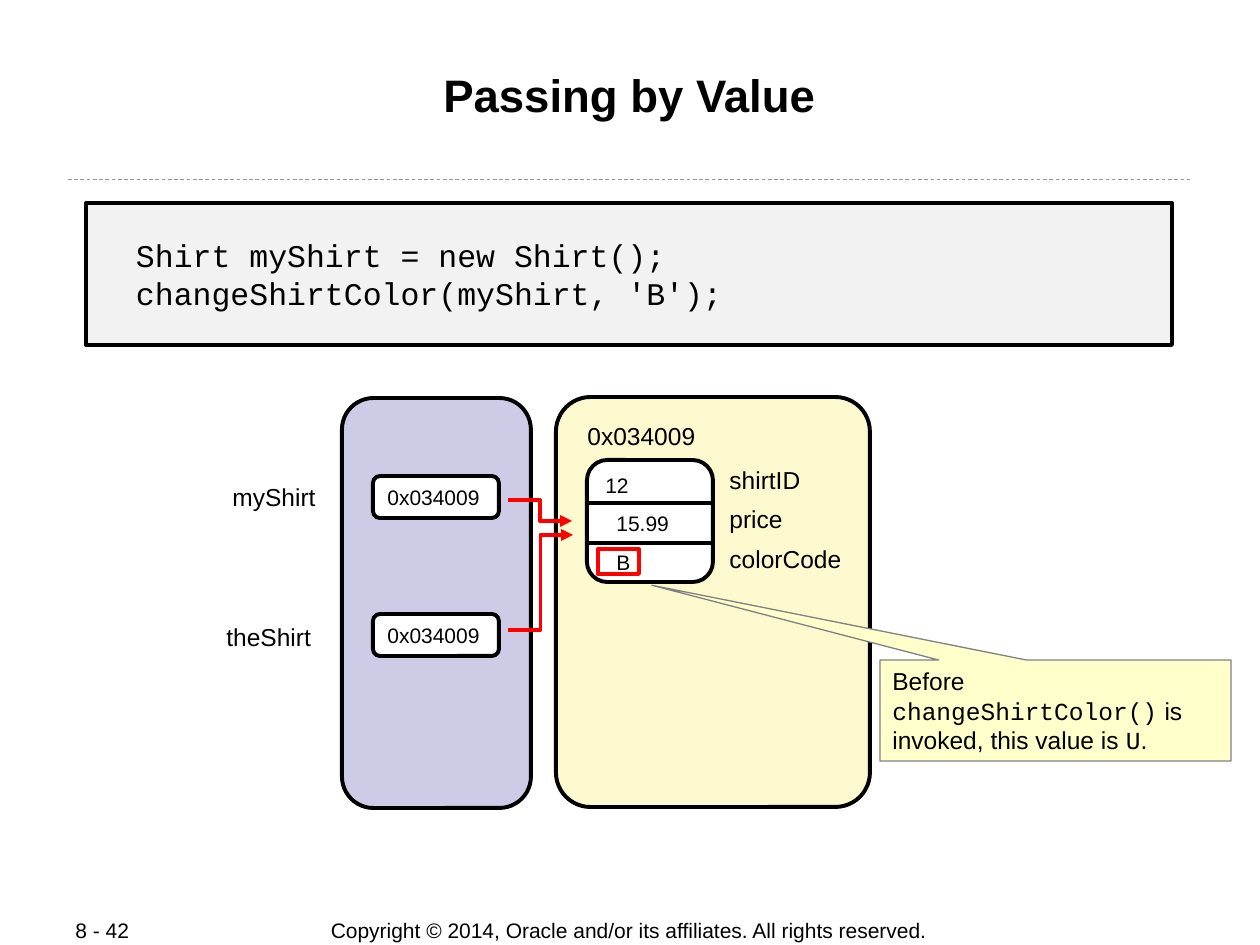
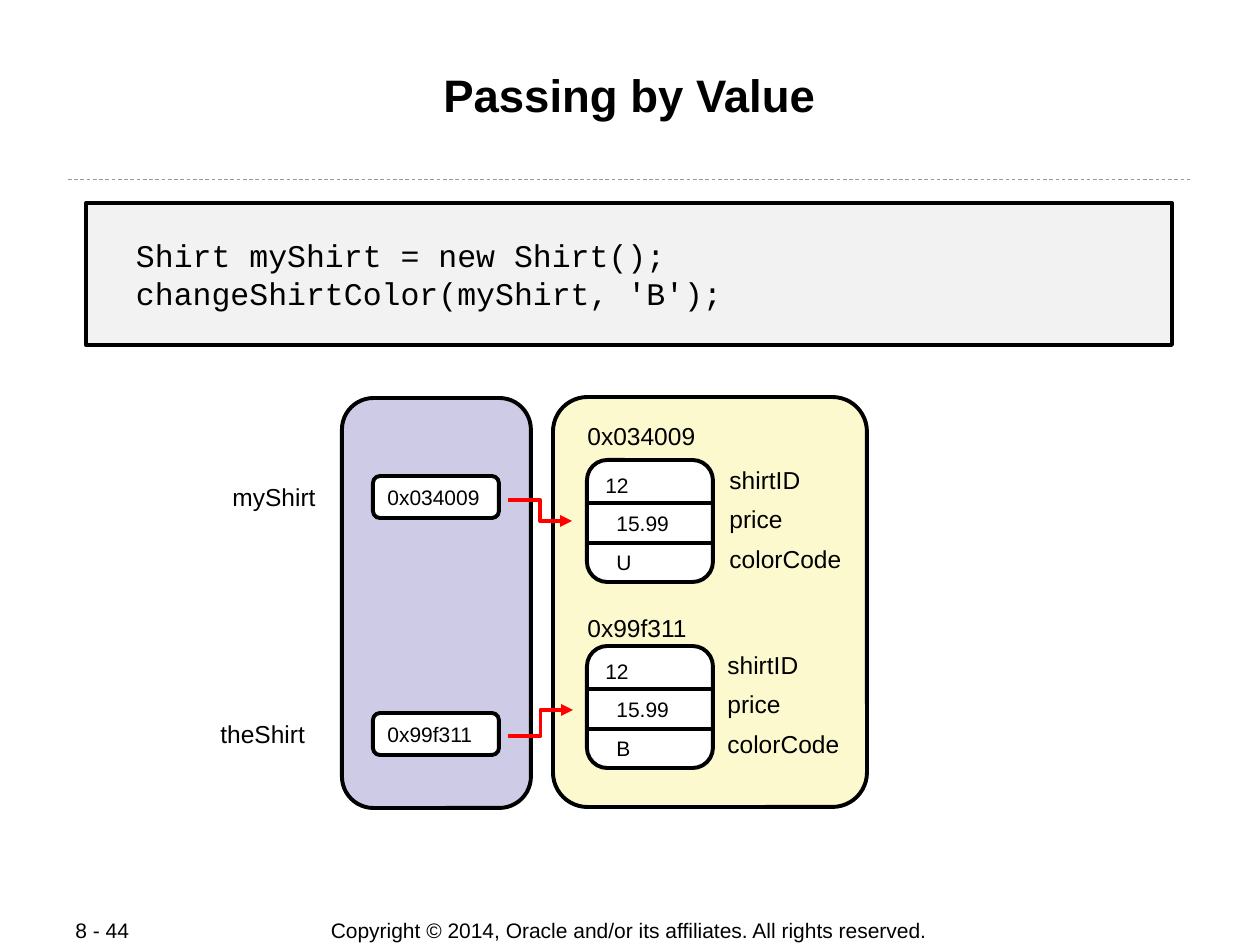
"""Build two slides that show how Java passes object references by value."""
import pptx
import pptx.dml.color
import pptx.enum.dml
import pptx.enum.shapes
import pptx.enum.text
import pptx.oxml
import pptx.oxml.ns
import pptx.util

RGBColor = pptx.dml.color.RGBColor
SHAPE = pptx.enum.shapes.MSO_SHAPE
LINE = pptx.enum.shapes.MSO_CONNECTOR
ANCHOR = pptx.enum.text.MSO_ANCHOR
ALIGN = pptx.enum.text.PP_ALIGN
DASH = pptx.enum.dml.MSO_LINE
Pt = pptx.util.Pt

BLACK = RGBColor(0x00, 0x00, 0x00)
WHITE = RGBColor(0xFF, 0xFF, 0xFF)
RED = RGBColor(0xFF, 0x00, 0x00)
GRAY = RGBColor(0x80, 0x80, 0x80)
RULE_GRAY = RGBColor(0x99, 0x99, 0x99)
CODE_FILL = RGBColor(0xF2, 0xF2, 0xF2)
STACK_FILL = RGBColor(0xCE, 0xCB, 0xE6)
HEAP_FILL = RGBColor(0xFC, 0xF9, 0xCE)
NOTE_FILL = RGBColor(0xFF, 0xFF, 0xCC)

SANS = "Arial"
MONO = "Courier New"
PX = 914400 / 126
HEAVY = 2.25

TITLE = "Passing by Value"
COPYRIGHT = "Copyright © 2014, Oracle and/or its affiliates. All rights reserved."
CODE = "Shirt myShirt = new Shirt();\nchangeShirtColor(myShirt, 'B');"
FIELDS = ["shirtID", "price", "colorCode"]
NOTE = [("Before ", SANS), ("changeShirtColor()", MONO),
        (" is invoked, this value is ", SANS), ("U", MONO), (".", SANS)]

SLIDES = [
    {
        "page": "8 - 42",
        "heap_x": 556,
        "variables": [("myShirt", 220, 476, "0x034009", 476),
                      ("theShirt", 214, 616, "0x034009", 614)],
        "records": [("0x034009", 415, 460, "B", 717, 459)],
        "arrows": [(508, 500, 572, 521), (508, 630, 573, 535)],
        "changed": True,
    },
    {
        "page": "8 - 44",
        "heap_x": 553,
        "variables": [("myShirt", 220, 476, "0x034009", 476),
                      ("theShirt", 208, 713, "0x99f311", 713)],
        "records": [("0x034009", 415, 460, "U", 717, 459),
                    ("0x99f311", 607, 646, "B", 715, 644)],
        "arrows": [(508, 500, 572, 521), (508, 736, 573, 710)],
        "changed": False,
    },
]


def add_box(s, kind, x, y, w, h, fill, line=BLACK, width=HEAVY):
    sp = s.shapes.add_shape(kind, *(round(n * PX) for n in (x, y, w, h)))
    sp.shadow.inherit = False
    if fill is None:
        sp.fill.background()
    else:
        sp.fill.solid()
        sp.fill.fore_color.rgb = fill
    sp.line.color.rgb = line
    sp.line.width = Pt(width)
    return sp


def add_text(s, text, size, box=None, sp=None, font=SANS, bold=False,
             align=ALIGN.LEFT, anchor=ANCHOR.TOP):
    if sp is None:
        sp = s.shapes.add_textbox(*(round(n * PX) for n in box))
    tf = sp.text_frame
    tf.word_wrap = True
    tf.vertical_anchor = anchor
    tf.text = text
    for p in tf.paragraphs:
        p.alignment = align
        p.font.name = font
        p.font.size = Pt(size)
        p.font.bold = bold
        p.font.color.rgb = BLACK
    return tf


prs = pptx.Presentation()
prs.slide_width = round(1260 * PX)
prs.slide_height = round(945 * PX)

for content in SLIDES:
    s = prs.slides.add_slide(prs.slide_layouts[6])
    lines = [(LINE.STRAIGHT, (68, 179, 1192, 179), RULE_GRAY, 0.5)]

    add_text(s, TITLE, 26, (84, 61, 1091, 115), bold=True, align=ALIGN.CENTER)
    add_text(s, COPYRIGHT, 12, (283, 917, 692, 26), align=ALIGN.CENTER, anchor=ANCHOR.MIDDLE)
    add_text(s, content["page"], 12, (63, 917, 134, 26), anchor=ANCHOR.MIDDLE)

    sp = add_box(s, SHAPE.RECTANGLE, 86, 203, 1086, 142, CODE_FILL)
    tf = add_text(s, CODE, 18, sp=sp, font=MONO, anchor=ANCHOR.MIDDLE)
    tf.margin_left = round(50 * PX)

    heap = add_box(s, SHAPE.ROUNDED_RECTANGLE, content["heap_x"], 397, 314, 410, HEAP_FILL)
    heap.adjustments[0] = 0.11
    add_box(s, SHAPE.ROUNDED_RECTANGLE, 342, 398, 189, 410, STACK_FILL)

    for name, name_x, name_y, address, box_y in content["variables"]:
        add_text(s, name, 14, (name_x, name_y, 126, 42))
        sp = add_box(s, SHAPE.ROUNDED_RECTANGLE, 373, box_y, 126, 42, WHITE)
        add_text(s, address, 12, sp=sp)

    for address, address_y, y, color_code, field_x, field_y in content["records"]:
        add_text(s, address, 14, (575, address_y, 145, 42))
        sp = add_box(s, SHAPE.ROUNDED_RECTANGLE, 587, y, 126, 122, WHITE)
        add_text(s, "12", 12, sp=sp)
        for value, offset in (("15.99", 44), (color_code, 83)):
            add_text(s, value, 12, (604, y + offset, 96, 38))
        for field, offset in zip(FIELDS, (0, 39, 79)):
            add_text(s, field, 14, (field_x, field_y + offset, 146, 42))
        for offset in (43, 83):
            lines.append((LINE.STRAIGHT, (586, y + offset, 712, y + offset), BLACK, HEAVY))

    if content["changed"]:
        add_box(s, SHAPE.RECTANGLE, 598, 549, 41, 25, None, RED)
        sp = add_box(s, SHAPE.RECTANGULAR_CALLOUT, 880, 660, 351, 101, NOTE_FILL, GRAY, 0.75)
        sp.adjustments[0] = -1.15
        sp.adjustments[1] = -1.24
        p = add_text(s, "", 14, sp=sp, anchor=ANCHOR.MIDDLE).paragraphs[0]
        for text, font in NOTE:
            r = p.add_run()
            r.text = text
            r.font.name = font

    lines += [(LINE.ELBOW, ends, RED, HEAVY) for ends in content["arrows"]]
    for kind, ends, color, width in lines:
        c = s.shapes.add_connector(kind, *(round(n * PX) for n in ends))
        c.line.color.rgb = color
        c.line.width = Pt(width)
        if color == RULE_GRAY:
            c.line.dash_style = DASH.DASH
        if kind == LINE.ELBOW:
            arrow = pptx.oxml.parse_xml(
                '<a:tailEnd %s type="triangle"/>' % pptx.oxml.ns.nsdecls("a"))
            c.line._get_or_add_ln().append(arrow)
        c._element.spPr.append(
            pptx.oxml.parse_xml("<a:effectLst %s/>" % pptx.oxml.ns.nsdecls("a")))

prs.save("out.pptx")
